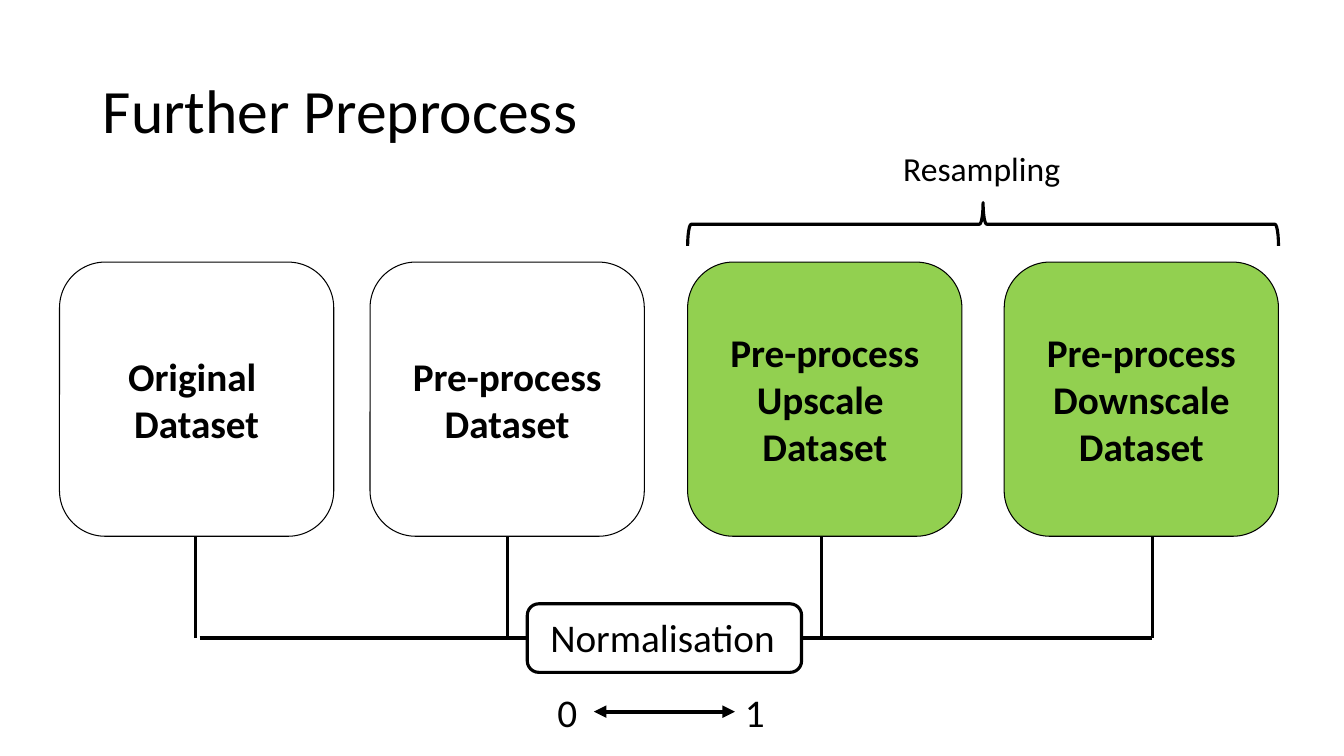
from lxml import etree
from pptx import Presentation
from pptx.dml.color import RGBColor
from pptx.enum import shapes, text
from pptx.oxml import ns
from pptx.util import Inches, Pt

BLACK = RGBColor(0, 0, 0)
WHITE = RGBColor(255, 255, 255)
GREEN = RGBColor(0x92, 0xD0, 0x50)
FONT = "Calibri"
CARD_SIZE = 2.72
CARD_TOP = 2.6
BUS_Y = 6.33
CARDS = [
    (0.59, None, ["Original ", "Dataset"]),
    (3.67, None, ["Pre-process", "Dataset"]),
    (6.82, GREEN, ["Pre-process", "Upscale ", "Dataset"]),
    (9.96, GREEN, ["Pre-process", "Downscale", "Dataset"]),
]
STEM_XS = [1.94, 5.03, 8.15, 11.43]


def add_run(paragraph, words, size, bold=False):
    run = paragraph.add_run()
    run.text = words
    font = run.font
    font.name, font.size, font.bold = FONT, Pt(size), bold
    font.color.rgb = BLACK


def add_outline(slide, kind, box, fill, width):
    shape = slide.shapes.add_shape(kind, *map(Inches, box))
    shape.shadow.inherit = False
    if fill is None:
        shape.fill.background()
    else:
        shape.fill.solid()
        shape.fill.fore_color.rgb = fill
    shape.line.color.rgb = BLACK
    shape.line.width = Pt(width)
    return shape


def add_label(slide, words, box, size, fill=None):
    label = slide.shapes.add_textbox(*map(Inches, box))
    if fill is not None:
        label.fill.solid()
        label.fill.fore_color.rgb = fill
    frame = label.text_frame
    frame.word_wrap = False
    frame.auto_size = text.MSO_AUTO_SIZE.SHAPE_TO_FIT_TEXT
    add_run(frame.paragraphs[0], words, size)


def add_line(slide, start, end, width=2.25, arrows=False):
    line = slide.shapes.add_connector(
        shapes.MSO_CONNECTOR.STRAIGHT, *map(Inches, start + end))
    line.line.color.rgb = BLACK
    line.line.width = Pt(width)
    properties = line._element.spPr
    if arrows:
        for tag in ("a:headEnd", "a:tailEnd"):
            etree.SubElement(line.line._get_or_add_ln(), ns.qn(tag), type="triangle")
    etree.SubElement(properties, ns.qn("a:effectLst"))


def add_title(slide, box):
    title = slide.shapes.title
    title.left, title.top, title.width, title.height = map(Inches, box)
    frame = title.text_frame
    frame.vertical_anchor = text.MSO_ANCHOR.MIDDLE
    paragraph = frame.paragraphs[0]
    paragraph.alignment = text.PP_ALIGN.LEFT
    paragraph.line_spacing = 0.9
    add_run(paragraph, "Further Preprocess", 44)


def add_card(slide, box, fill, lines):
    card = add_outline(slide, shapes.MSO_SHAPE.ROUNDED_RECTANGLE, box, fill, 0.75)
    frame = card.text_frame
    frame.word_wrap = True
    frame.vertical_anchor = text.MSO_ANCHOR.MIDDLE
    for index, words in enumerate(lines):
        paragraph = frame.add_paragraph() if index else frame.paragraphs[0]
        paragraph.alignment = text.PP_ALIGN.CENTER
        add_run(paragraph, words, 28, bold=True)


def add_resampling(slide, box):
    """Place a brace that opens downwards across the box, with its label above."""
    left, top, width, height = box
    brace_box = (left + (width - height) / 2, top + (height - width) / 2, height, width)
    brace = add_outline(slide, shapes.MSO_SHAPE.LEFT_BRACE, brace_box, None, 2.25)
    brace.rotation = 90
    add_label(slide, "Resampling", (left + 2.04, top - 0.59, 1.77, 0.5), 24)


def add_stems(slide, card_bottom):
    add_line(slide, (1.98, BUS_Y), (STEM_XS[-1], BUS_Y))
    for x in STEM_XS:
        add_line(slide, (x, BUS_Y), (x, card_bottom))


def add_normalisation(slide, box):
    """Place the boxed step and, below it, its range from 0 to 1."""
    left, top, _, _ = box
    add_outline(slide, shapes.MSO_SHAPE.ROUNDED_RECTANGLE, box, WHITE, 2.25)
    add_label(slide, "Normalisation", (left + 0.13, top + 0.05, 2.45, 0.57), 28, WHITE)
    arrow_y = top + 1.07
    add_line(slide, (left + 0.66, arrow_y), (left + 2.06, arrow_y), 3, arrows=True)
    for words, offset in (("0", 0.2), ("1", 2.06)):
        add_label(slide, words, (left + offset, top + 0.79, 0.4, 0.57), 28, WHITE)


def main():
    presentation = Presentation()
    presentation.slide_width = Inches(13.33)
    presentation.slide_height = Inches(7.5)
    slide = presentation.slides.add_slide(presentation.slide_layouts[5])
    add_title(slide, (0.92, 0.4, 11.5, 1.45))
    for left, fill, lines in CARDS:
        add_card(slide, (left, CARD_TOP, CARD_SIZE, CARD_SIZE), fill, lines)
    add_resampling(slide, (6.82, 2.01, 5.86, 0.43))
    add_stems(slide, CARD_TOP + CARD_SIZE)
    add_normalisation(slide, (5.23, 5.99, CARD_SIZE, 0.68))
    presentation.save("out.pptx")


if __name__ == "__main__":
    main()
